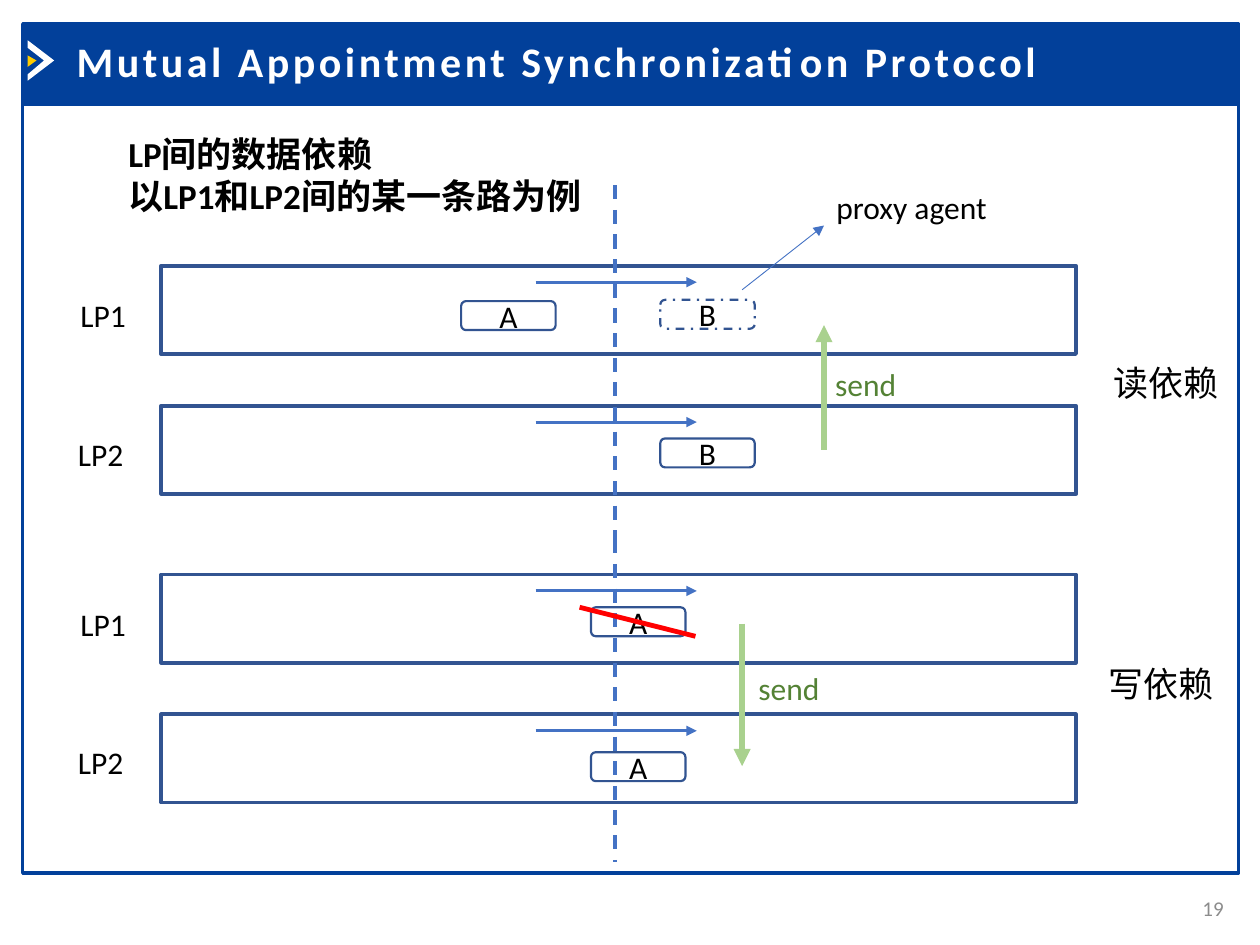
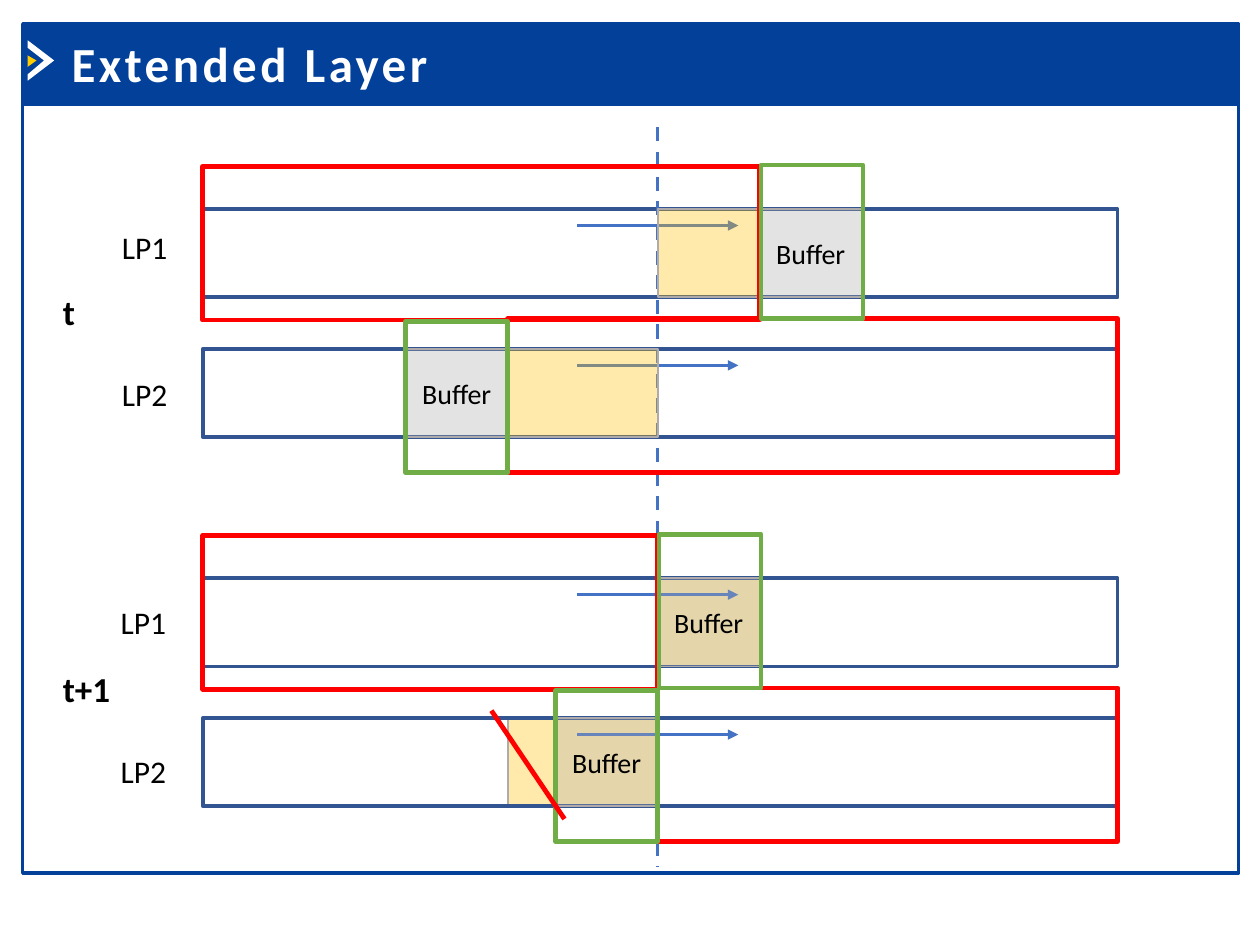
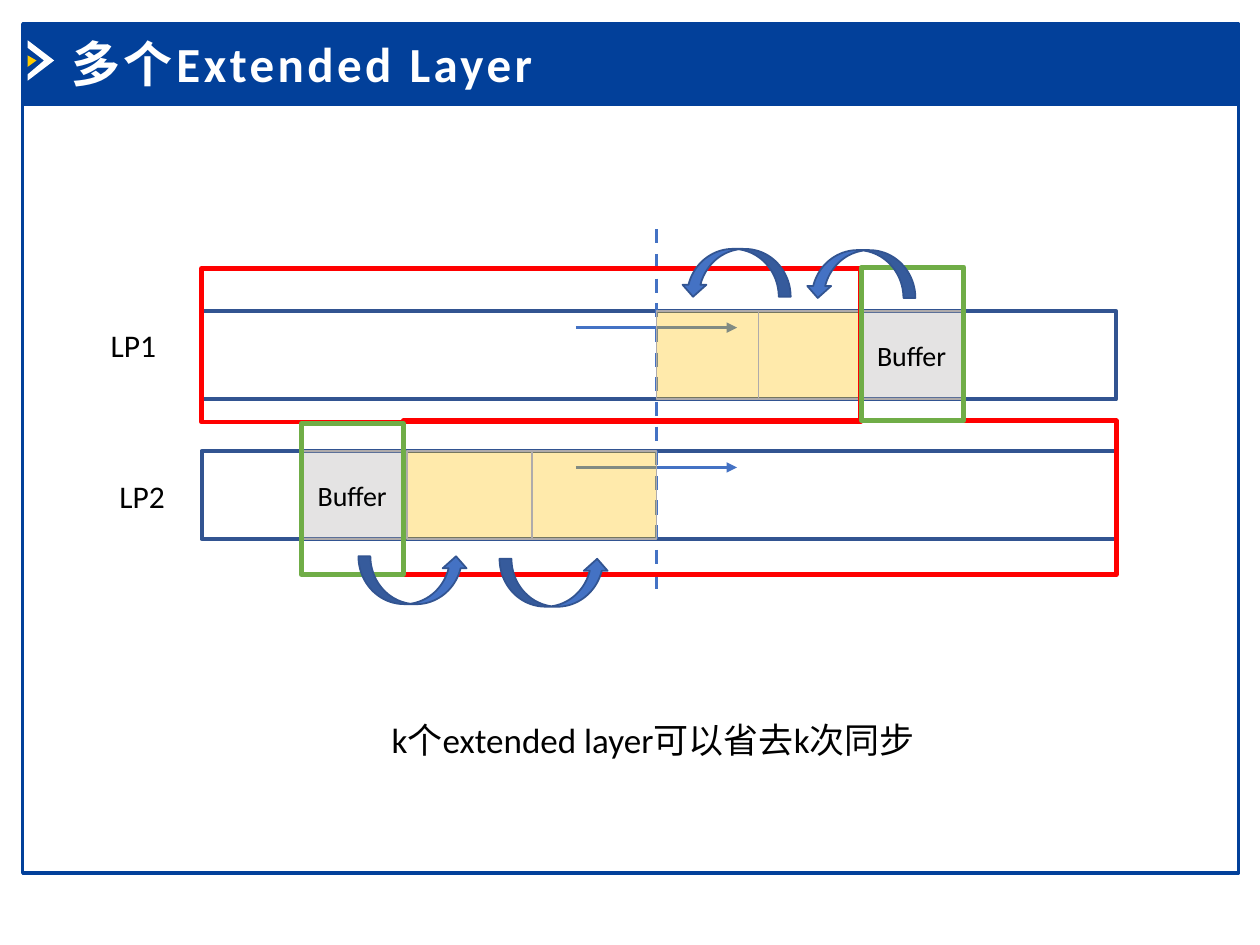
from lxml.etree import SubElement
from pptx import Presentation
from pptx.dml.color import RGBColor
from pptx.enum.dml import MSO_LINE
from pptx.enum.shapes import MSO_CONNECTOR, MSO_SHAPE
from pptx.enum.text import MSO_ANCHOR, MSO_AUTO_SIZE, PP_ALIGN
from pptx.oxml.ns import qn
from pptx.util import Inches, Pt

FONT = "Calibri"
NAVY, WHITE, BLACK, GREY = "02409A", "FFFFFF", "000000", "8C8C8C"
GOLD, EDGE, BLUE, RED = "FFCC00", "325491", "4472C4", "FF0000"
GREEN, PALE_GREEN, DARK_GREEN = "70AD47", "A9D18E", "548235"
AMBER, SILVER = "FFC000", "AFABAB"

CELL = Inches(1)
COLS, ROWS = 10, 7.5
LANE_W, LANE_H, LANE_STEP = 7.26, 0.7, 1.11
MIDDLE = 3.61
BUFFER_W = 0.81


def grid(*values):
    """Turn grid columns and rows into lengths."""
    return [round(v * CELL) for v in values]


def rgb(value):
    """Return the colour of a hex string."""
    return RGBColor.from_string(value)


def write(tf, text, size, color=BLACK, bold=False, align=None, spacing=0):
    """Fill a text frame and format all its runs."""
    tf.text = text
    for p in tf.paragraphs:
        p.alignment = align
        for r in p.runs:
            r.font.name, r.font.size, r.font.bold = FONT, Pt(size), bold
            r.font.color.rgb = rgb(color)
            if spacing:
                r._r.get_or_add_rPr().set("spc", str(spacing * 100))


def label(s, x, y, w, h, text, size=18, wrap=False, **style):
    """Add a text box."""
    tf = s.shapes.add_textbox(*grid(x, y, w, h)).text_frame
    tf.word_wrap = wrap
    tf.auto_size = MSO_AUTO_SIZE.SHAPE_TO_FIT_TEXT
    write(tf, text, size, **style)
    return tf


def paint(sp, fill=None, line=None, width=1, alpha=None):
    """Set fill, outline and transparency of a shape."""
    sp.shadow.inherit = False
    if fill:
        sp.fill.solid()
        sp.fill.fore_color.rgb = rgb(fill)
        if alpha:
            clr = sp.fill._xPr.find(qn("a:solidFill"))[0]
            SubElement(clr, qn("a:alpha")).set("val", str(alpha * 1000))
    else:
        sp.fill.background()
    if line:
        sp.line.color.rgb = rgb(line)
        sp.line.width = Pt(width)
    else:
        sp.line.fill.background()


def box(s, x, y, w, h, text="", size=18, kind=MSO_SHAPE.RECTANGLE, **style):
    """Add a preset shape with optional centred text."""
    sp = s.shapes.add_shape(kind, *grid(x, y, w, h))
    paint(sp, **style)
    if text:
        sp.text_frame.vertical_anchor = MSO_ANCHOR.MIDDLE
        write(sp.text_frame, text, size, align=PP_ALIGN.CENTER)
    return sp


def outline(s, points, fill):
    """Add a filled polygon."""
    start, *rest = [grid(*pt) for pt in points]
    fb = s.shapes.build_freeform(*start)
    fb.add_line_segments(rest)
    paint(fb.convert_to_shape(), fill)


def line(s, x1, y1, x2, y2, color=BLUE, width=1.75, arrow=False, dash=None):
    """Add a straight line or arrow."""
    c = s.shapes.add_connector(MSO_CONNECTOR.STRAIGHT, *grid(x1, y1, x2, y2))
    c.line.color.rgb = rgb(color)
    c.line.width = Pt(width)
    if dash:
        c.line.dash_style = dash
    if arrow:
        SubElement(c.line._get_or_add_ln(), qn("a:tailEnd")).set("type", "triangle")
    SubElement(c._element.spPr, qn("a:effectLst"))


def new_slide(prs, title, x, y, size):
    """Add a slide with the frame, the title band and the chevron."""
    s = prs.slides.add_slide(prs.slide_layouts[6])
    box(s, 0.18, 0.83, 9.65, 6.1, line=NAVY, width=2)
    box(s, 0.18, 0.19, 9.65, 0.64, fill=NAVY, line=NAVY, width=2)
    outline(s, [(0.22, 0.32), (0.43, 0.48), (0.22, 0.64), (0.22, 0.59),
                (0.35, 0.48), (0.22, 0.38)], WHITE)
    outline(s, [(0.22, 0.44), (0.29, 0.48), (0.22, 0.53)], GOLD)
    label(s, x, y, 9.1, size / 50, title, size, wrap=True,
          color=WHITE, bold=True, spacing=2)
    return s


def lanes(s, left, top):
    """Draw the LP1 and LP2 lanes with their direction arrows."""
    for y in (top, top + LANE_STEP):
        box(s, left, y, LANE_W, LANE_H, line=EDGE, width=2.25)
        line(s, left + 2.97, y + 0.13, left + 4.25, y + 0.13, arrow=True)


def lane_names(s, spots):
    """Name the lanes LP1 and LP2 at the given spots."""
    for name, (x, y) in zip(("LP1", "LP2"), spots):
        label(s, x, y, 0.57, 0.4, name)


def divider(s, x, top, bottom):
    """Draw the dashed border between the two processes."""
    line(s, x, top, x, bottom, width=2, dash=MSO_LINE.DASH)


def car(s, x, y, name, dash=None):
    """Draw a vehicle agent."""
    sp = box(s, x, y, 0.75, 0.23, name, kind=MSO_SHAPE.ROUNDED_RECTANGLE,
             line=EDGE, width=1.25)
    if dash:
        sp.line.dash_style = dash


def layer(s, x, y, w):
    """Draw an extended layer cell."""
    box(s, x, y, w, LANE_H, fill=AMBER, alpha=33, line=SILVER)


def regions(s, left, top, end1, start2):
    """Draw both buffers and the range each process computes."""
    low = top + LANE_STEP
    for x, y in ((end1, top), (start2 - BUFFER_W, low)):
        box(s, x, y, BUFFER_W, LANE_H, "Buffer", 16,
            fill=SILVER, alpha=33, line=SILVER)
    for x, y, w, h, color in (
            (left, top - 0.34, end1 - left, 1.22, RED),
            (start2, top + 0.87, left + LANE_W - start2, 1.22, RED),
            (end1 + 0.01, top - 0.35, BUFFER_W, 1.22, GREEN),
            (start2 - BUFFER_W, top + 0.89, BUFFER_W, 1.2, GREEN)):
        box(s, x, y, w, h, line=color, width=2.75)


def protocol_slide(prs):
    """Build the slide on read and write dependence."""
    s = new_slide(prs, "Mutual Appointment Synchronization Protocol", 0.51, 0.23, 24)
    left, read, write_top = 1.28, 2.11, 4.56
    for top in (read, write_top):
        lanes(s, left, top)
        lane_names(s, [(0.54, top + 0.19), (0.52, top + 1.29)])
    divider(s, 4.88, 1.47, 4.28)
    divider(s, 4.88, 4.28, 6.84)
    car(s, 3.66, 2.39, "A")
    car(s, 5.24, 2.38, "B", MSO_LINE.DASH_DOT)
    car(s, 5.24, 3.48, "B")
    car(s, 4.69, 4.82, "A")
    car(s, 4.69, 5.97, "A")
    line(s, 4.6, 4.82, 5.52, 5.05, RED, 2.75)
    line(s, 5.89, 2.3, 6.54, 1.79, width=0.5, arrow=True)
    label(s, 6.54, 1.44, 1.41, 0.4, "proxy agent")
    for x, start, end, tx, ty in ((6.54, 3.57, 2.58, 6.53, 2.85),
                                  (5.89, 4.95, 6.08, 5.92, 5.26)):
        line(s, x, start, x, end, PALE_GREEN, 3.25, arrow=True)
        label(s, tx, ty, 0.69, 0.4, "send", color=DARK_GREEN)
    label(s, 0.92, 1, 3.83, 0.77, "LP间的数据依赖\n以LP1和LP2间的某一条路为例",
          20, wrap=True, bold=True)
    label(s, 8.74, 2.82, 1.04, 0.44, "读依赖", 20)
    label(s, 8.7, 5.21, 1.04, 0.44, "写依赖", 20)
    tf = label(s, 9.22, 7.01, 0.59, 0.4, "19", 12, wrap=True,
               color=GREY, align=PP_ALIGN.RIGHT)
    tf.auto_size = MSO_AUTO_SIZE.NONE
    tf.vertical_anchor = MSO_ANCHOR.MIDDLE


def layer_slide(prs):
    """Build the slide on one extended layer at two time steps."""
    s = new_slide(prs, "Extended Layer", 0.47, 0.22, 28)
    left, now, later = 1.61, 1.66, 4.59
    mid = left + MIDDLE
    layer(s, mid, later, BUFFER_W)
    layer(s, mid - 1.19, later + LANE_STEP, 1.19)
    for top in (now, later):
        lanes(s, left, top)
    divider(s, mid, 1.01, 3.94)
    divider(s, mid, 3.94, 6.88)
    layer(s, mid, now, BUFFER_W)
    layer(s, mid - 1.19, now + LANE_STEP, 1.19)
    regions(s, left, now, mid + BUFFER_W, mid - 1.19)
    regions(s, left, later, mid, mid)
    lane_names(s, [(0.87, 1.76), (0.87, 2.93)])
    lane_names(s, [(0.86, 4.74), (0.86, 5.92)])
    label(s, 0.4, 2.26, 0.3, 0.44, "t", 20, bold=True)
    label(s, 0.4, 5.25, 0.58, 0.44, "t+1", 20, bold=True)
    line(s, 3.9, 5.64, 4.48, 6.5, RED, 2.75)


def layers_slide(prs):
    """Build the slide on several extended layers."""
    s = new_slide(prs, "多个Extended Layer", 0.47, 0.22, 28)
    left, top = 1.6, 2.47
    mid = left + MIDDLE
    lanes(s, left, top)
    divider(s, mid, 1.82, 4.75)
    lane_names(s, [(0.78, 2.54), (0.85, 3.74)])
    for i in range(2):
        layer(s, mid + i * BUFFER_W, top, BUFFER_W)
        layer(s, mid - (i + 1) * 0.99, top + LANE_STEP, 0.99)
    regions(s, left, top, 6.83, 3.2)
    label(s, 3.01, 5.65, 4.39, 0.44, "k个extended layer可以省去k次同步", 20, wrap=True)
    for x, y, turn in ((3.09, 4.17, 270), (4.21, 4.19, 270),
                       (6.64, 1.74, 90), (5.65, 1.73, 90)):
        sp = box(s, x, y, 0.38, 0.87, kind=MSO_SHAPE.CURVED_RIGHT_ARROW,
                 fill=BLUE, line=EDGE)
        sp.rotation = turn


def main():
    """Build and save the slides."""
    prs = Presentation()
    prs.slide_width, prs.slide_height = grid(COLS, ROWS)
    protocol_slide(prs)
    layer_slide(prs)
    layers_slide(prs)
    prs.save("out.pptx")


if __name__ == "__main__":
    main()
